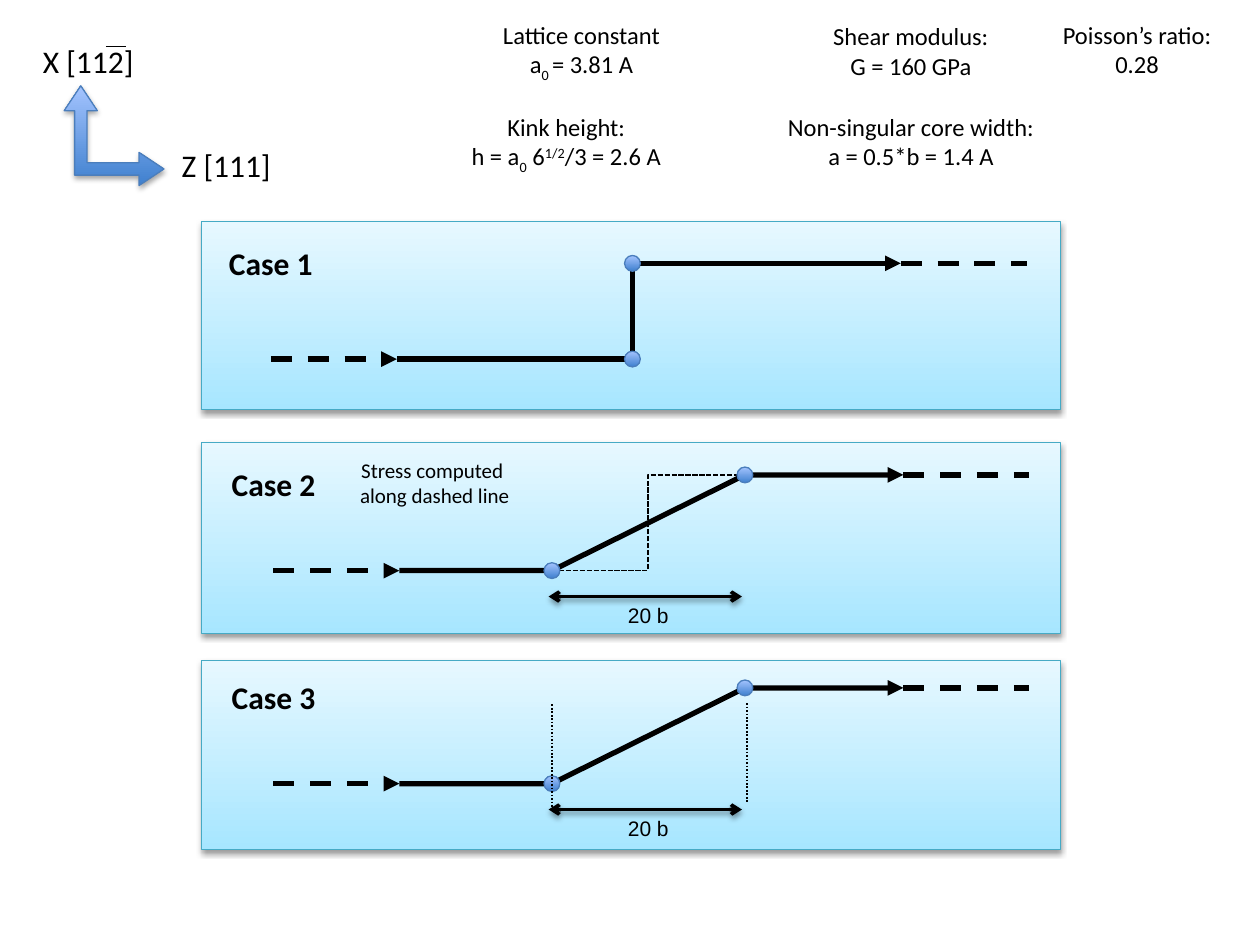
from lxml import etree
from pptx import Presentation
from pptx.dml.color import RGBColor
from pptx.enum.dml import MSO_LINE_DASH_STYLE as Dash
from pptx.enum.shapes import MSO_CONNECTOR as Connector, MSO_SHAPE as Preset
from pptx.enum.text import MSO_AUTO_SIZE as AutoSize, PP_ALIGN as Align
from pptx.oxml import parse_xml
from pptx.oxml.ns import nsdecls, qn
from pptx.util import Pt

color = RGBColor.from_string
PANEL = ("A7E6FF", "E7F8FF")
BLUE = ("3F80CE", "A4C4FF")
SOLID = {"width": Pt(3)}
DASHED = {"width": Pt(3), "dash_style": Dash.DASH}
DOTTED = {"width": Pt(1), "dash_style": Dash.ROUND_DOT}
FINE = {"width": Pt(1), "dash_style": Dash.SQUARE_DOT}
THIN = {"width": Pt(0.75)}


def style(shape, line, line_format, stops=None, ends=None, shadow=0):
    if stops:
        shape.fill.gradient()
        shape.fill.gradient_angle = 90
        for stop, stop_color in zip(shape.fill.gradient_stops, stops):
            stop.color.rgb = color(stop_color)
    elif hasattr(shape, "fill"):
        shape.fill.background()
    shape.line.color.rgb = color(line)
    for name, value in line_format.items():
        setattr(shape.line, name, value)
    properties = shape._element.spPr
    for tag, kind in (ends or {}).items():
        etree.SubElement(properties.find(qn("a:ln")), qn(tag), type=kind)
    shadow_xml = (
        f'<a:outerShdw blurRad="{Pt(3.1)}" dist="{Pt(1.7)}" dir="5400000" rotWithShape="0">'
        f'<a:srgbClr val="000000"><a:alpha val="{shadow * 1000}"/></a:srgbClr></a:outerShdw>'
    ) if shadow else ""
    properties.append(parse_xml(f'<a:effectLst {nsdecls("a")}>{shadow_xml}</a:effectLst>'))


def add_text(box, lines, size, font="Calibri", bold=False, align=Align.CENTER, wrap=False):
    frame = slide.shapes.add_textbox(*map(Pt, box)).text_frame
    frame.word_wrap = wrap
    frame.auto_size = AutoSize.SHAPE_TO_FIT_TEXT
    font_format = {"name": font, "size": Pt(size), "bold": bold}
    for index, line in enumerate(lines):
        paragraph = frame.add_paragraph() if index else frame.paragraphs[0]
        paragraph.alignment = align
        for text, baseline in ([(line, 0)] if isinstance(line, str) else line):
            run = paragraph.add_run()
            run.text = text
            run.font.color.rgb = color("000000")
            for name, value in font_format.items():
                setattr(run.font, name, value)
            if baseline:
                run._r.get_or_add_rPr().set("baseline", str(baseline * 1000))


presentation = Presentation()
presentation.slide_width, presentation.slide_height = Pt(720), Pt(540)
slide = presentation.slides.add_slide(presentation.slide_layouts[6])

axes = slide.shapes.add_shape(Preset.LEFT_UP_ARROW, Pt(36.7), Pt(49), Pt(57), Pt(57))
for index, value in enumerate((0.124, 0.166, 0.25)):
    axes.adjustments[index] = value
axes._element.spPr.find(qn("a:xfrm")).set("flipH", "1")
style(axes, "4B7EBC", THIN, stops=BLUE, shadow=35)
add_text((95.8, 79.9, 67, 29), ["Z [111]"], 18)
add_text((17.3, 20.2, 66.2, 29), ["X [112]"], 18)
overline = slide.shapes.add_connector(Connector.STRAIGHT, Pt(60.5), Pt(26.6), Pt(72), Pt(26.6))
style(overline, "000000", {"width": Pt(1)})

parameters = [
    ((279.4, 7.9, 105.8, 41), ["Lattice constant", [("a", 0), ("0 ", -25), ("= 3.81 A", 0)]]),
    ((468.7, 8.6, 103.7, 41), ["Shear modulus:", "G = 160 GPa"]),
    ((599, 7.9, 101.5, 41), ["Poisson’s ratio:", "0.28"]),
    ((260.6, 60.5, 126, 41), ["Kink height:", [
        ("h = a", 0), ("0", -25), (" 6", 0), ("1/2", 30), ("/3 = 2.6 A", 0)]]),
    ((442.1, 60.5, 157, 41), ["Non-singular core width: ", "a = 0.5*b = 1.4 A"]),
]
for box, lines in parameters:
    add_text(box, lines, 14)

RISE, STUB, NODE = 54.7, 72, 9
cases = [
    ("Case 1", 126.7, 107.3, 150.5, 226.8, (361.4, 361.4), (123.8, 136.1)),
    ("Case 2", 252.7, 109.4, 271.4, 228.2, (315.4, 425.7), (125.3, 262.1)),
    ("Case 3", 377.3, 108, 393.1, 228.2, (315.4, 425.7), (125.3, 383.8)),
]
for name, panel_top, panel_height, upper, start, (low_x, high_x), label in cases:
    lower, end = upper + RISE, start + 288
    panel = slide.shapes.add_shape(
        Preset.RECTANGLE, Pt(115.2), Pt(panel_top), Pt(491), Pt(panel_height))
    style(panel, "46AAC5", THIN, stops=PANEL, shadow=38)

    paths = [([(start, lower), (low_x, lower), (high_x, upper), (end, upper)],
              SOLID, {"a:tailEnd": "triangle"})]
    if name == "Case 2":
        paths.insert(0, ([(low_x, lower), (370.1, lower), (370.1, upper), (high_x, upper)],
                         FINE, None))
    for points, line_format, ends in paths:
        corners = [(Pt(x), Pt(y)) for x, y in points]
        builder = slide.shapes.build_freeform(*corners[0])
        builder.add_line_segments(corners[1:], close=False)
        style(builder.convert_to_shape(), "000000", line_format, ends=ends)

    for x, y in ((high_x, upper), (low_x, lower)):
        node = slide.shapes.add_shape(
            Preset.OVAL, Pt(x - NODE / 2), Pt(y - NODE / 2), Pt(NODE), Pt(NODE))
        style(node, "4B7EBC", THIN, stops=BLUE)

    lines = [
        ((end, upper, end + STUB, upper), DASHED, None, 0),
        ((start - STUB, lower, start, lower), DASHED, {"a:tailEnd": "triangle"}, 0),
    ]
    if name != "Case 1":
        span = upper + 69.5
        lines.append(((313.5, span, 424, span), {"width": Pt(2)},
                      {"a:headEnd": "arrow", "a:tailEnd": "arrow"}, 38))
        add_text((319.7, span, 101.5, 21.6), ["20 b"], 12, font="Arial", wrap=True)
    if name == "Case 3":
        lines += [((427, 401.8, 427, 458.6), DOTTED, None, 0),
                  ((315.4, 402.5, 315.4, 463), DOTTED, None, 0)]
    for ends_at, line_format, ends, shadow in lines:
        connector = slide.shapes.add_connector(Connector.STRAIGHT, *map(Pt, ends_at))
        style(connector, "000000", line_format, ends=ends, shadow=shadow)
    add_text((*label, 62.6, 29), [name], 18, bold=True, align=Align.LEFT)

add_text((197.3, 257.8, 102.2, 36), ["Stress computed ", "along dashed line"], 12)

presentation.save("out.pptx")
